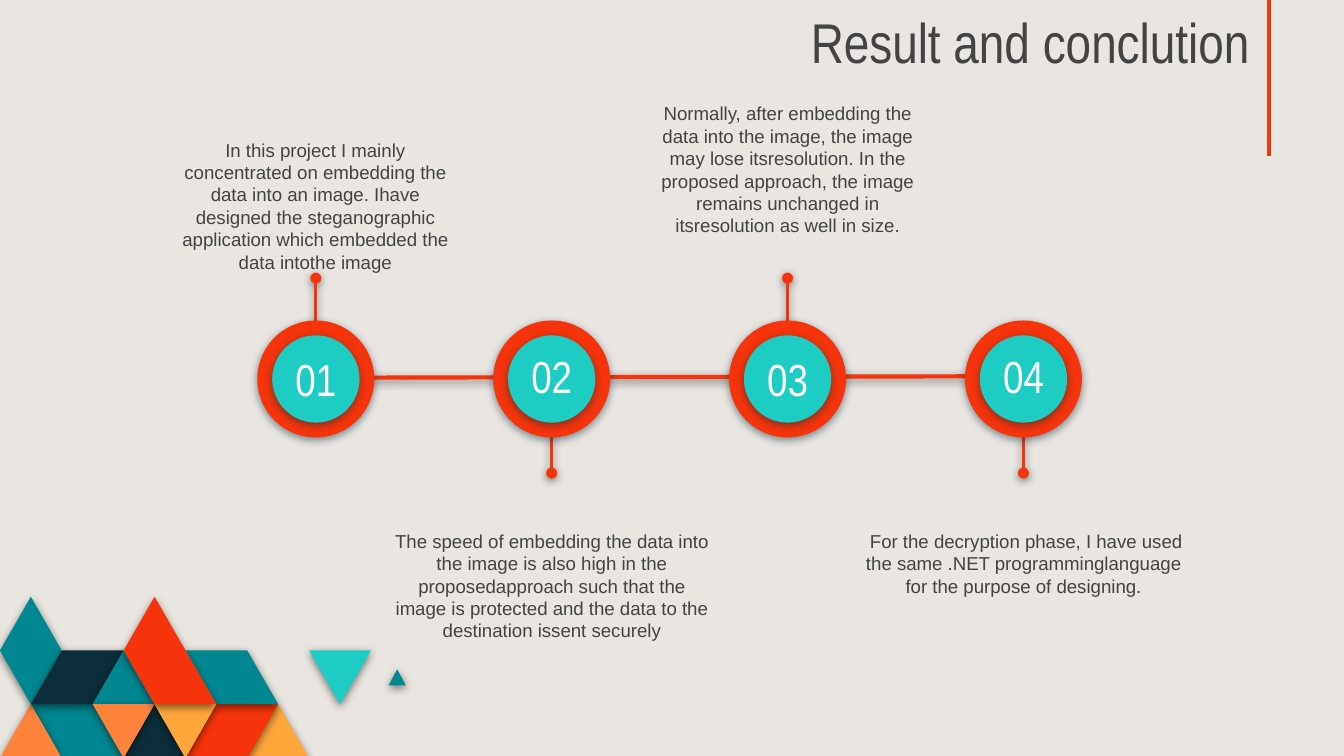
"""Build the results and conclusion slide: a four-step timeline with a tiled corner."""
from lxml.etree import SubElement
from pptx import Presentation
from pptx.dml.color import RGBColor
from pptx.enum.shapes import MSO_CONNECTOR as CONNECTOR, MSO_SHAPE as SHAPE
from pptx.enum.text import MSO_ANCHOR as ANCHOR, PP_ALIGN as ALIGN
from pptx.oxml.ns import qn
from pptx.util import Inches, Pt

BACKGROUND = RGBColor(0xE9, 0xE6, 0xE1)
RED = RGBColor(0xF5, 0x34, 0x0B)
TURQUOISE = RGBColor(0x1D, 0xCD, 0xC3)
TEAL = RGBColor(0x01, 0x87, 0x90)
NAVY = RGBColor(0x0C, 0x2E, 0x3A)
ORANGE = RGBColor(0xFF, 0x82, 0x3B)
AMBER = RGBColor(0xFF, 0xA7, 0x3B)
GREY = RGBColor(0x43, 0x43, 0x43)
WHITE = RGBColor(0xFF, 0xFF, 0xFF)
BLACK = RGBColor(0x00, 0x00, 0x00)


def set_shadow(item, color=None):
    effects = SubElement(item.element.spPr, qn("a:effectLst"))
    if color is not None:
        shadow = SubElement(effects, qn("a:outerShdw"), blurRad=str(Pt(4.5)),
                            dist=str(Pt(1.5)), dir="5400000", algn="bl", rotWithShape="0")
        tint = SubElement(shadow, qn("a:srgbClr"), val=str(color))
        SubElement(tint, qn("a:alpha"), val="50000")


def write(box, words, size, font, color, align, anchor):
    frame = box.text_frame
    frame.word_wrap = True
    frame.vertical_anchor = anchor
    frame.margin_left = frame.margin_right = Inches(0.1)
    frame.margin_top = frame.margin_bottom = Inches(0.1)
    paragraph = frame.paragraphs[0]
    paragraph.alignment = align
    run = paragraph.add_run()
    run.text = words
    run.font.size = Pt(size)
    run.font.name = font
    run.font.color.rgb = color


prs = Presentation()
prs.slide_width = Inches(10)
prs.slide_height = prs.slide_width * 9 // 16
slide = prs.slides.add_slide(prs.slide_layouts[5])
slide.background.fill.solid()
slide.background.fill.fore_color.rgb = BACKGROUND
shapes = slide.shapes

TILES = [
    (AMBER, [(10, 3), (9, 2), (8, 3)]),
    (RED, [(9, 2), (7, 2), (6, 3), (8, 3)]),
    (TEAL, [(4, 3), (3, 2), (1, 2), (2, 3)]),
    (ORANGE, [(2, 3), (1, 2), (0, 3)]),
    (NAVY, [(6, 3), (5, 2), (4, 3)]),
    (TEAL, [(9, 2), (8, 1), (6, 1), (7, 2)]),
    (TEAL, [(13.13, 1.65), (12.85, 1.35), (12.57, 1.65)]),
    (TURQUOISE, [(12, 1), (10, 1), (11, 2)]),
    (TEAL, [(2, 1), (1, 0), (0, 1), (1, 2)]),
    (NAVY, [(4, 1), (2, 1), (1, 2), (3, 2)]),
    (TEAL, [(5, 2), (4, 1), (3, 2)]),
    (ORANGE, [(5, 2), (3, 2), (4, 3)]),
    (AMBER, [(7, 2), (5, 2), (6, 3)]),
    (RED, [(7, 2), (5, 0), (4, 1), (5, 2)]),
]
for color, corners in TILES:
    points = [(Inches(0.23 * col), Inches(4.44 + 0.4 * row)) for col, row in corners]
    outline = shapes.build_freeform(*points[0])
    outline.add_line_segments(points[1:])
    tile = outline.convert_to_shape()
    tile.fill.solid()
    tile.fill.fore_color.rgb = color
    tile.line.fill.background()
    set_shadow(tile, BLACK)

accent = shapes.add_connector(CONNECTOR.STRAIGHT, Inches(9.44), 0, Inches(9.44), Inches(1.16))
accent.line.color.rgb = RED
accent.line.width = Pt(2.25)
set_shadow(accent)

title = shapes.title
title.left, title.top = Inches(0.55), Inches(0.03)
title.width, title.height = Inches(8.85), Inches(0.63)
write(title, "Result and conclution", 30, "Arial Narrow", GREY, ALIGN.RIGHT, ANCHOR.BOTTOM)

timeline = shapes.add_connector(CONNECTOR.STRAIGHT, Inches(2.74), Inches(2.81),
                                Inches(7.22), Inches(2.8))
timeline.line.color.rgb = RED
timeline.line.width = Pt(2.25)
set_shadow(timeline, BLACK)

STEPS = [
    ("01", 2.57, (2.49, 2.07), (1.22, 0.93, 2.25, 0.75),
     "In this project I mainly concentrated on embedding the data into an image. Ihave "
     "designed the steganographic application which embedded the data intothe image"),
    ("02", 2.55, (3.14, 3.52), (2.81, 3.84, 2.59, 0.75),
     "The speed of embedding the data into the image is also high in the proposedapproach "
     "such that the image is protected and the data to the destination issent securely"),
    ("03", 2.57, (2.49, 2.07), (4.76, 0.66, 2.2, 1.31),
     "Normally, after embedding the data into the image, the image may lose itsresolution. "
     "In the proposed approach, the image remains unchanged in itsresolution as well in size."),
    ("04", 2.55, (3.14, 3.52), (6.25, 3.84, 2.73, 0.75),
     " For the decryption phase, I have used the same .NET programminglanguage "
     "for the purpose of designing."),
]
for index, (number, number_top, (pin_start, pin_end), place, message) in enumerate(STEPS):
    center = 2.35 + 1.755 * index
    pin = shapes.add_connector(CONNECTOR.STRAIGHT, Inches(center), Inches(pin_start),
                               Inches(center), Inches(pin_end))
    pin.line.color.rgb = RED
    pin.line.width = Pt(1.5)
    SubElement(pin.element.spPr.find(qn("a:ln")), qn("a:tailEnd"), type="oval")
    set_shadow(pin, BLACK)

    for diameter, color in ((0.87, RED), (0.65, TURQUOISE)):
        disc = shapes.add_shape(SHAPE.OVAL, Inches(center - diameter / 2),
                                Inches(2.82 - diameter / 2), Inches(diameter), Inches(diameter))
        disc.fill.solid()
        disc.fill.fore_color.rgb = color
        disc.line.fill.background()
        set_shadow(disc, NAVY)

    label = shapes.add_textbox(Inches(center - 0.39), Inches(number_top),
                               Inches(0.78), Inches(0.49))
    write(label, number, 24, "Arial Narrow", WHITE, ALIGN.CENTER, ANCHOR.MIDDLE)

    note = shapes.add_textbox(*[Inches(length) for length in place])
    write(note, message, 10, "Arial", GREY, ALIGN.CENTER, ANCHOR.TOP)
    note.text_frame.paragraphs[0].space_after = Pt(16)

prs.save("out.pptx")
